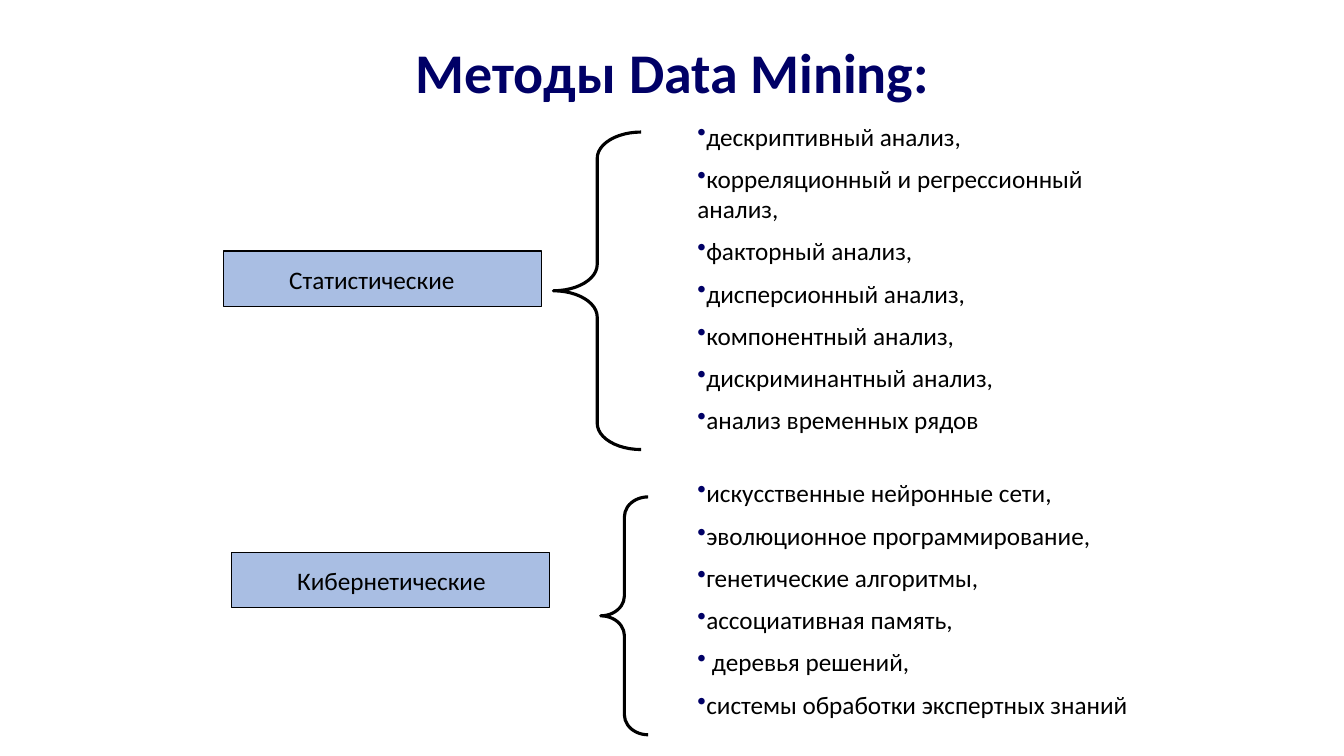
"""Builds a slide that groups data mining methods into two families."""
import lxml.etree
import pptx
import pptx.dml.color
import pptx.enum.shapes
import pptx.enum.text
import pptx.oxml.ns
import pptx.util

Pt = pptx.util.Pt
SHAPES = pptx.enum.shapes.MSO_SHAPE
ANCHORS = pptx.enum.text.MSO_ANCHOR
ALIGNS = pptx.enum.text.PP_ALIGN

TITLE = "Методы Data Mining:"
FAMILIES = [
    {
        "name": "Статистические",
        "label": (159.84, 179.28),
        "brace": (395.28, 94.32, 62.64, 226.8),
        "bend": 0.3,
        "list": (491.04, 82.8, 295.2, 245.52),
        "methods": [
            "дескриптивный анализ,",
            "корреляционный и регрессионный анализ,",
            "факторный анализ,",
            "дисперсионный анализ,",
            "компонентный анализ,",
            "дискриминантный анализ,",
            "анализ временных рядов",
        ],
    },
    {
        "name": "Кибернетические",
        "label": (165.6, 394.56),
        "brace": (429.12, 354.96, 33.84, 169.92),
        "bend": 0.42,
        "list": (491.04, 337.68, 348.48, 191.52),
        "methods": [
            "искусственные нейронные сети,",
            "эволюционное программирование,",
            "генетические алгоритмы,",
            "ассоциативная память,",
            " деревья решений,",
            "системы обработки экспертных знаний",
        ],
    },
]
THEME = {
    "font": "Calibri",
    "navy": "000066",
    "black": "000000",
    "label_fill": "4472C4",
    "label_opacity": 46,
    "title_size": 40,
    "body_size": 18,
    "gap": 8.6,
}
LABEL_SIZE = (226.8, 39.6)
LABEL_INSET = (39.6, 5.76)


def color(name):
    return pptx.dml.color.RGBColor.from_string(THEME[name])


def add_child(parent, tag, **attributes):
    child = lxml.etree.SubElement(parent, pptx.oxml.ns.qn(tag))
    for key, value in attributes.items():
        child.set(key, value)
    return child


def add_text(page, area, lines, size="body_size", ink="black", bold=False, bullets=False):
    box = page.shapes.add_textbox(*map(Pt, area))
    frame = box.text_frame
    frame.word_wrap = True
    for index, line in enumerate(lines):
        para = frame.paragraphs[0] if index == 0 else frame.add_paragraph()
        if index:
            para.space_before = Pt(THEME["gap"])
        if bullets:
            properties = para._p.get_or_add_pPr()
            add_child(add_child(properties, "a:buClr"), "a:srgbClr", val=THEME["navy"])
            add_child(properties, "a:buChar", char="•")
        span = para.add_run()
        span.text = line
        span.font.name = THEME["font"]
        span.font.size = Pt(THEME[size])
        span.font.bold = bold
        span.font.color.rgb = color(ink)
    return frame


def add_outline(page, kind, area, width):
    shape = page.shapes.add_shape(kind, *map(Pt, area))
    shape.shadow.inherit = False
    shape.fill.background()
    shape.line.color.rgb = color("black")
    shape.line.width = Pt(width)
    return shape


def add_label(page, name, left, top):
    width, height = LABEL_SIZE
    inset_x, inset_y = LABEL_INSET
    plate = add_outline(page, SHAPES.RECTANGLE, (left, top, width, height), 0.75)
    plate.fill.solid()
    plate.fill.fore_color.rgb = color("label_fill")
    tint = plate._element.spPr.find(pptx.oxml.ns.qn("a:solidFill"))[0]
    add_child(tint, "a:alpha", val=str(THEME["label_opacity"] * 1000))
    add_text(page, (left + inset_x, top + inset_y, width - inset_x, 28.8), [name])


def add_family(page, family):
    add_label(page, family["name"], *family["label"])
    brace = add_outline(page, SHAPES.LEFT_BRACE, family["brace"], 2.25)
    brace.adjustments[0] = family["bend"]
    add_text(page, family["list"], family["methods"], bullets=True)


def main():
    deck = pptx.Presentation()
    deck.slide_width, deck.slide_height = Pt(960), Pt(540)
    page = deck.slides.add_slide(deck.slide_layouts[6])
    title = add_text(page, (156.24, 36, 648, 36), [TITLE], "title_size", "navy", bold=True)
    title.vertical_anchor = ANCHORS.MIDDLE
    title.paragraphs[0].alignment = ALIGNS.CENTER
    title.paragraphs[0].line_spacing = 0.9
    for family in FAMILIES:
        add_family(page, family)
    deck.save("out.pptx")


if __name__ == "__main__":
    main()
